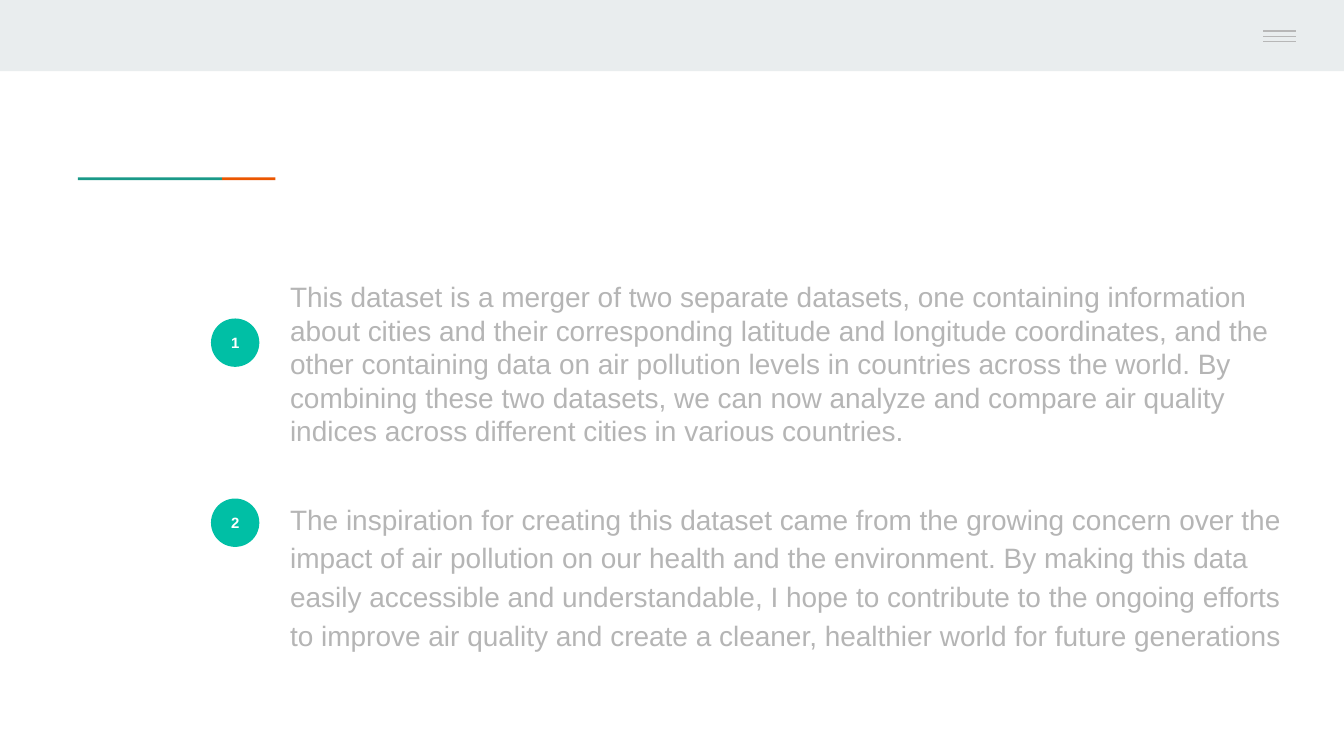
from dataclasses import dataclass

from lxml import etree
from pptx import Presentation
from pptx.dml.color import RGBColor
from pptx.enum import shapes, text
from pptx.oxml.ns import qn
from pptx.util import Inches, Pt

WIDTH = 10
HEIGHT = WIDTH * 9 / 16


@dataclass(frozen=True)
class Theme:
    font: str = "Arial"
    band: str = "E9EDEE"
    icon: str = "B7B7B7"
    teal: str = "1A9988"
    orange: str = "EB5600"
    badge: str = "00BFA5"
    white: str = "FFFFFF"
    body: str = "B5B5B5"
    body_size: float = 15
    badge_size: float = 8


THEME = Theme()

POINTS = [
    "This dataset is a merger of two separate datasets, one containing "
    "information about cities and their corresponding latitude and longitude "
    "coordinates, and the other containing data on air pollution levels in "
    "countries across the world. By combining these two datasets, we can now "
    "analyze and compare air quality indices across different cities in "
    "various countries.",
    "The inspiration for creating this dataset came from the growing concern "
    "over the impact of air pollution on our health and the environment. By "
    "making this data easily accessible and understandable, I hope to "
    "contribute to the ongoing efforts to improve air quality and create a "
    "cleaner, healthier world for future generations",
]


def add_block(slide, box, color, kind=shapes.MSO_SHAPE.RECTANGLE):
    sp = slide.shapes.add_shape(kind, *map(Inches, box))
    sp.shadow.inherit = False
    sp.fill.solid()
    sp.fill.fore_color.rgb = RGBColor.from_string(color)
    sp.line.fill.background()
    return sp


def write(sp, words, size, color, bold=False, align=text.PP_ALIGN.LEFT,
          anchor=text.MSO_ANCHOR.TOP, spacing=None, after=0):
    tf = sp.text_frame
    tf.word_wrap = True
    tf.vertical_anchor = anchor
    tf.margin_left = tf.margin_right = Inches(0.1)
    tf.margin_top = tf.margin_bottom = Inches(0.1)
    p = tf.paragraphs[0]
    p.alignment = align
    p.line_spacing = spacing
    p.space_after = Pt(after)
    r = p.add_run()
    r.text = words
    r.font.name = THEME.font
    r.font.size = Pt(size)
    r.font.bold = bold
    r.font.color.rgb = RGBColor.from_string(color)


def add_header(slide, box):
    """Grey band with a three-line menu icon at its right."""
    left, top, width, height = box
    add_block(slide, box, THEME.band)
    x1, x2 = left + width * 0.94, left + width * 0.964
    middle = top + height * 0.51
    for step in (-1, 0, 1):
        y = Inches(middle + step * 0.04)
        line = slide.shapes.add_connector(
            shapes.MSO_CONNECTOR.STRAIGHT, Inches(x1), y, Inches(x2), y)
        line.line.color.rgb = RGBColor.from_string(THEME.icon)
        line.line.width = Pt(0.75)
        etree.SubElement(line._element.spPr, qn("a:effectLst"))


def add_accent(slide, box, share=0.73):
    """Two-colour rule, split at the given share of its width."""
    left, top, width, height = box
    split = width * share
    add_block(slide, (left, top, split, height), THEME.teal)
    add_block(slide, (left + split, top, width - split, height), THEME.orange)


def add_point(slide, box, number, words, badge_top, spacing=None):
    """Numbered badge in the left column, paragraph in the right one."""
    left, top, width, height = box
    badge, gutter = 0.36, 0.13
    sp = add_block(slide, (left, top + badge_top, badge, badge), THEME.badge,
                   shapes.MSO_SHAPE.OVAL)
    write(sp, str(number), THEME.badge_size, THEME.white, bold=True,
          align=text.PP_ALIGN.CENTER, anchor=text.MSO_ANCHOR.MIDDLE)
    indent = badge + gutter
    sp = slide.shapes.add_textbox(*map(
        Inches, (left + indent, top, width - indent, height)))
    write(sp, words, THEME.body_size, THEME.body, spacing=spacing, after=16)


def main():
    prs = Presentation()
    prs.slide_width, prs.slide_height = Inches(WIDTH), Inches(HEIGHT)
    slide = prs.slides.add_slide(prs.slide_layouts[6])

    # Header and accent rule
    add_header(slide, (0, 0, WIDTH, 0.53))
    add_accent(slide, (0.58, 1.32, 1.47, 0.02))

    # Numbered points
    add_point(slide, (1.57, 1.98, 8.15, 1.54), 1, POINTS[0], badge_top=0.39)
    add_point(slide, (1.57, 3.6, 8.27, 1.78), 2, POINTS[1], badge_top=0.11,
              spacing=1.15)

    prs.save("out.pptx")


if __name__ == "__main__":
    main()
